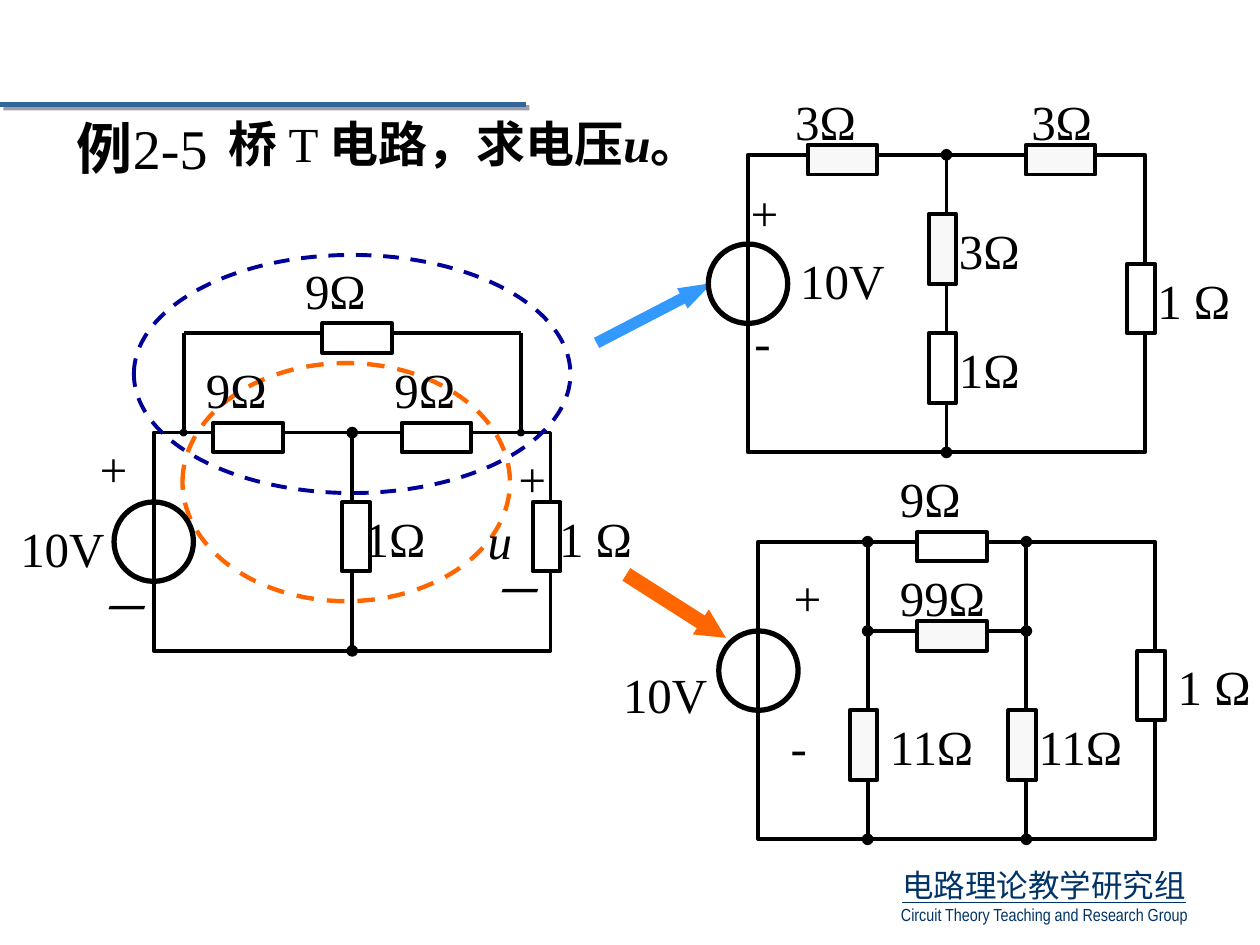
from dataclasses import dataclass

from lxml.etree import SubElement
from pptx import Presentation
from pptx.dml.color import RGBColor
from pptx.enum.dml import MSO_LINE
from pptx.enum.shapes import MSO_CONNECTOR, MSO_SHAPE
from pptx.enum.text import MSO_AUTO_SIZE, PP_ALIGN
from pptx.oxml import parse_xml
from pptx.oxml.ns import nsdecls, qn
from pptx.util import Inches, Pt


@dataclass(frozen=True)
class Theme:
    black: str = "000000"
    white: str = "FFFFFF"
    changed: str = "F8F8F8"
    star: str = "3399FF"
    star_ring: str = "000099"
    delta: str = "FF6600"
    rule: str = "336699"
    footer: str = "003366"
    serif: str = "Times New Roman"
    narrow: str = "Arial Narrow"
    chinese: str = "Noto Sans CJK SC"
    heading: int = 32
    body: int = 28
    group: int = 18
    caption: int = 10
    wire: float = 2.25
    source: float = 3


class Board:
    """Draws on one slide; lengths are cells of a grid 127 columns wide."""

    columns = 127
    text_rows = 7.2

    def __init__(self, presentation, theme):
        self.theme = theme
        self.cell = presentation.slide_width / self.columns
        self.slide = presentation.slides.add_slide(presentation.slide_layouts[6])
        self.origin = (0, 0)

    def place(self, column, row):
        left, top = self.origin
        return round((left + column) * self.cell), round((top + row) * self.cell)

    def box(self, column, row, width, height):
        return *self.place(column, row), round(width * self.cell), round(height * self.cell)

    def shape(self, kind, area, fill=None, line=None, weight=None, dash=None):
        shape = self.slide.shapes.add_shape(kind, *self.box(*area))
        shape.shadow.inherit = False
        if fill:
            shape.fill.solid()
            shape.fill.fore_color.rgb = RGBColor.from_string(fill)
        else:
            shape.fill.background()
        if line:
            shape.line.color.rgb = RGBColor.from_string(line)
            shape.line.width = Pt(weight or self.theme.wire)
            shape.line.dash_style = dash
        else:
            shape.line.fill.background()
        return shape

    def ring(self, area, color, weight):
        self.shape(MSO_SHAPE.OVAL, area, None, color, weight, MSO_LINE.DASH)

    def arrow(self, area, angle, color, head):
        shape = self.shape(MSO_SHAPE.RIGHT_ARROW, area, color)
        shape.rotation = angle
        shape.adjustments[0], shape.adjustments[1] = 0.5, head

    def line(self, start, end, color=None, weight=None, dots=(), size="med"):
        connector = self.slide.shapes.add_connector(
            MSO_CONNECTOR.STRAIGHT, *self.place(*start), *self.place(*end))
        connector.line.color.rgb = RGBColor.from_string(color or self.theme.black)
        connector.line.width = Pt(weight or self.theme.wire)
        outline = connector.line._get_or_add_ln()
        for end_tag in dots:
            SubElement(outline, qn(f"a:{end_tag}"), type="oval", w=size, len=size)
        effects = SubElement(connector._element.spPr, qn("a:effectLst"))
        return effects

    def text(self, area, paragraphs, align=PP_ALIGN.LEFT):
        """Each paragraph is a list of (text, font settings) runs."""
        frame = self.slide.shapes.add_textbox(*self.box(*area)).text_frame
        frame.word_wrap = True
        frame.auto_size = MSO_AUTO_SIZE.SHAPE_TO_FIT_TEXT
        for index, runs in enumerate(paragraphs):
            paragraph = frame.add_paragraph() if index else frame.paragraphs[0]
            paragraph.alignment = align
            for words, style in runs:
                self.run(paragraph, words, **style)

    def run(self, paragraph, words, size=None, color=None, name=None, **flags):
        run = paragraph.add_run()
        run.text = words
        font = run.font
        font.size = Pt(size or self.theme.body)
        font.name = name or self.theme.serif
        font.color.rgb = RGBColor.from_string(color or self.theme.black)
        for flag, value in flags.items():
            setattr(font, flag, value)
        latin = run._r.rPr.find(qn("a:latin"))
        latin.addnext(parse_xml(f'<a:ea {nsdecls("a")} typeface="{self.theme.chinese}"/>'))

    def label(self, words, column, row, width=13):
        self.text((column, row, width, self.text_rows), [[(words, {})]])

    def sign(self, words, column, row):
        self.text((column, row, 5.4, self.text_rows), [[(words, {"italic": True})]])

    def resistor(self, column, row, upright=False, fill=None):
        size = (2.8, 7) if upright else (7, 3)
        self.shape(MSO_SHAPE.RECTANGLE, (column, row, *size),
                   fill or self.theme.white, self.theme.black)

    def circuit(self, origin, rows, source_row, wires, labels, signs, resistors):
        """The frame's top left corner is the circuit's origin."""
        self.origin = origin
        self.shape(MSO_SHAPE.OVAL, (-4, source_row - 4, 8, 8),
                   self.theme.white, self.theme.black, self.theme.source)
        for start, end, *options in wires:
            self.line(start, end, dots=options[0] if options else ("headEnd", "tailEnd"),
                      size="sm" if options else "med")
        for label in labels:
            self.label(*label)
        for sign in signs:
            self.sign(*sign)
        self.shape(MSO_SHAPE.RECTANGLE, (0, 0, 40, rows), None, self.theme.black)
        for resistor in resistors:
            self.resistor(*resistor)
        self.origin = (0, 0)


def main():
    theme = Theme()
    presentation = Presentation()
    presentation.slide_width, presentation.slide_height = Inches(10), Inches(7.5)
    board = Board(presentation, theme)

    # Footer and shadowed rule
    board.text((85.7, 86.7, 39.1, board.text_rows), [
        [("电路理论教学研究组", dict(size=theme.group, color=theme.footer,
                            name=theme.chinese, underline=True))],
        [("Circuit Theory Teaching and Research Group",
          dict(size=theme.caption, color=theme.footer, name=theme.narrow))],
    ], PP_ALIGN.CENTER)
    effects = board.line((0, 10.5), (53, 10.5), theme.rule, 3)
    effects.append(parse_xml(
        f'<a:outerShdw {nsdecls("a")} dist="35921" dir="2700000">'
        '<a:srgbClr val="3E3E5C"><a:alpha val="50000"/></a:srgbClr></a:outerShdw>'))

    # Problem statement
    bold = {"bold": True}
    board.text((21.8, 10.8, 54, board.text_rows), [[
        ("桥 ", bold), ("T ", {}), ("电路，求电压", bold),
        ("u", {"bold": True, "italic": True}), ("。", bold)]])
    board.text((6.5, 10.8, 18, 8), [[
        ("例", dict(size=theme.heading, bold=True)), ("2-5", dict(size=theme.heading))]])

    # Arrows to the two equivalents, and the ring around the inner star
    board.arrow((59.4, 30.4, 13.1, 2.3), 332.6, theme.star, 1.46)
    board.ring((18.4, 36.6, 33, 24), theme.delta, 2.5)
    board.arrow((62.2, 59.6, 11.9, 3), 32.5, theme.delta, 1)

    # Bridged T circuit
    board.circuit(
        (15.5, 43.6), 22, 11,
        wires=[((20, 0), (20, 22)), ((3, 0), (3, -10), ("headEnd",)),
               ((3, -10), (37, -10), ()), ((37, 0), (37, -10), ("headEnd",))],
        labels=[("9Ω", 14, -18), ("9Ω", 4, -8), ("9Ω", 23, -8), ("1Ω", 20, 7),
                ("1 Ω", 39.6, 7), ("10V", -14.7, 8)],
        signs=[("－", -7, 14), ("+", -7, 0), ("+", 35.2, 1), ("－", 32.6, 12.3),
               ("u", 32.4, 7.2)],
        resistors=[(25, -1), (6, -1), (17, -11), (38.2, 7, True), (19, 7, True)])

    # Equivalent with the outer delta turned into a star
    board.circuit(
        (75.4, 15.6), 30, 13,
        wires=[((20, 0), (20, 30))],
        labels=[("3Ω", 3.5, -7), ("3Ω", 27.3, -7), ("1Ω", 20, 18), ("1 Ω", 40, 11, 10),
                ("10V", 4, 9), ("3Ω", 20, 6)],
        signs=[("+", -1.3, 2.2), ("-", -0.6, 15.2)],
        resistors=[(28, -1, False, theme.changed), (6, -1, False, theme.changed),
                   (18.2, 18, True), (18.2, 6, True, theme.changed), (38.2, 11, True)])

    # Equivalent with the inner star turned into a delta
    board.circuit(
        (76.45, 54.6), 30, 13,
        wires=[((27, 0), (27, 30)), ((11, 9), (27, 9)), ((11, 0), (11, 30))],
        labels=[("9Ω", 13, -8), ("99Ω", 13, 2), ("11Ω", 27, 17), ("1 Ω", 41, 11, 10),
                ("10V", -14.9, 11.8), ("11Ω", 12, 17)],
        signs=[("+", 2, 2), ("-", 2, 17)],
        resistors=[(16, 8, False, theme.changed), (16, -1),
                   (25.2, 17, True, theme.changed), (9.2, 17, True, theme.changed),
                   (38.2, 11, True)])

    # Ring around the outer delta
    board.ring((13.5, 25.7, 44, 24), theme.star_ring, theme.wire)

    presentation.save("out.pptx")


if __name__ == "__main__":
    main()
